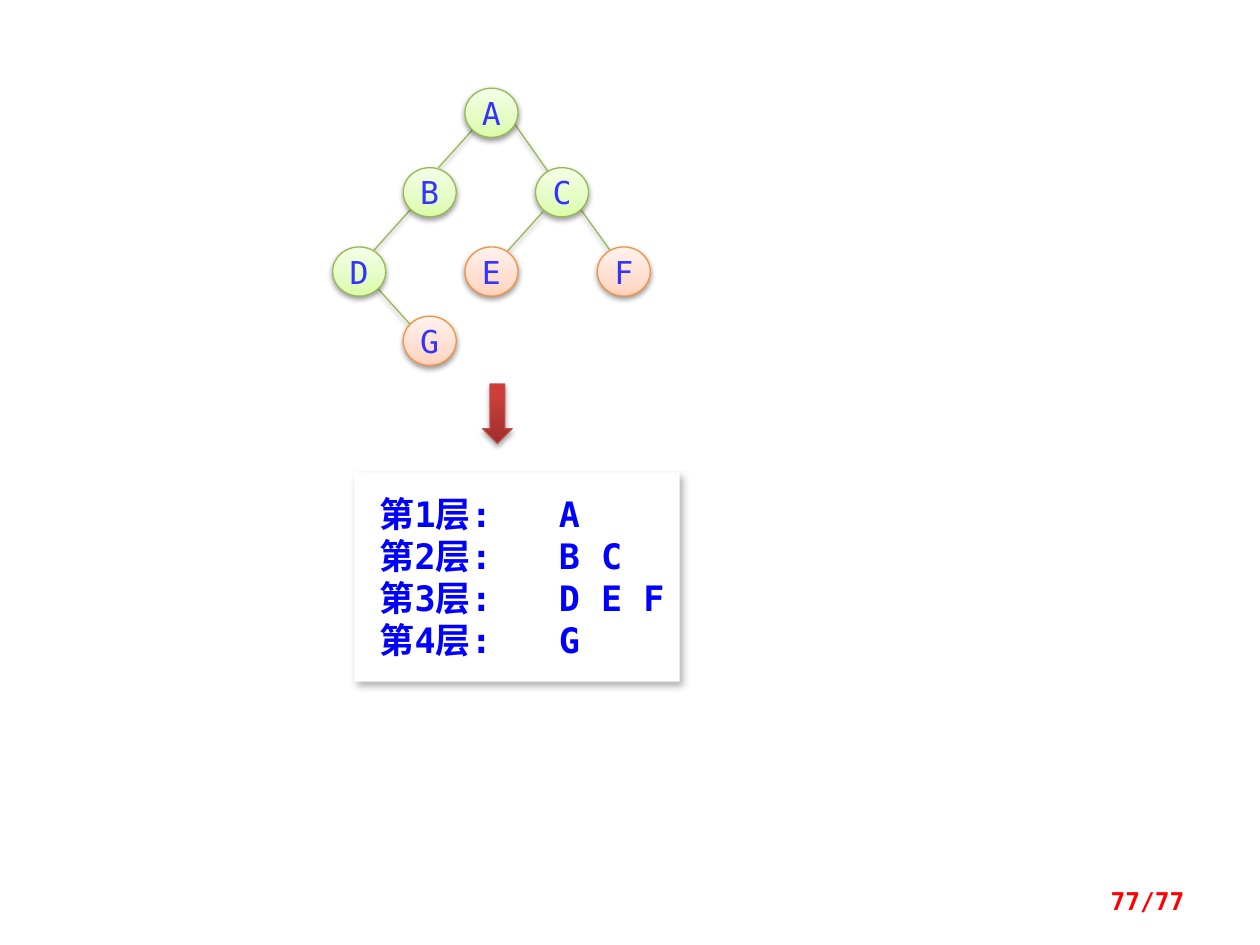
import pptx
import pptx.util
import pptx.dml.color
import pptx.enum.shapes
import pptx.enum.text
import pptx.oxml
import pptx.oxml.ns
from dataclasses import dataclass

Pt = pptx.util.Pt
SHAPES = pptx.enum.shapes.MSO_SHAPE
ANCHOR = pptx.enum.text.MSO_ANCHOR
ALIGN = pptx.enum.text.PP_ALIGN


@dataclass(frozen=True)
class Theme:
    font: str = "DejaVu Sans Mono"
    node_size: int = 18
    level_size: int = 20
    page_size: int = 14
    node_text: str = "3333FF"
    level_text: str = "0000FF"
    page_text: str = "FF0000"
    panel: str = "FFFFFF"
    branch_line: str = "98B955"
    leaf_line: str = "F69240"
    arrow_line: str = "BF4C48"
    line_width: float = 0.75
    branch_fill: tuple = ((0, "DAFDA7"), (35, "E4FCC2"), (100, "F5FFE7"))
    leaf_fill: tuple = ((0, "FFD2BD"), (35, "FFDED0"), (100, "FFF2ED"))
    arrow_fill: tuple = ((0, "9C2F2D"), (80, "CB3E3A"), (100, "CE3B37"))
    tree_shadow: tuple = (38, 3.1, 1.6, 90)
    arrow_shadow: tuple = (35, 3.1, 1.8, 90)
    panel_shadow: tuple = (30, 4.5, 2.6, 53)


THEME = Theme()
NODE_WIDTH, NODE_HEIGHT = 30.3, 28.1
COLUMNS = (190.1, 230.4, 265.7, 306, 341.3)
ROWS = (50.4, 95.8, 141.1, 180.7)
NODES = {"A": (2, 0), "B": (1, 1), "C": (3, 1), "D": (0, 2),
         "E": (2, 2), "G": (1, 3), "F": (4, 2)}
BRANCHES = {
    "DG": (215.3, 164.2, 235.4, 186.5),
    "AB": (270.7, 73.4, 250.6, 95.8),
    "AC": (293.4, 69.8, 314.6, 100.1),
    "BD": (235.4, 118.8, 210.2, 146.9),
    "CE": (310.3, 121, 290.2, 143.3),
    "CF": (331.2, 118.8, 351.4, 146.9),
}
LEVELS = ("A", "B C", "D E F", "G")
LEVEL_TAB = 102.5
PAGE_NUMBER = "77/77"


def rgb(value):
    return pptx.dml.color.RGBColor.from_string(value)


def element(tag, xml_attributes="", inner=""):
    return pptx.oxml.parse_xml(
        f'<a:{tag} {pptx.oxml.ns.nsdecls("a")} {xml_attributes}>{inner}</a:{tag}>')


def set_outline(part, colour):
    part.line.color.rgb = rgb(colour)
    part.line.width = Pt(THEME.line_width)


def add_shadow(part, shadow):
    alpha, blur, distance, angle = shadow
    part._element.spPr.append(element("effectLst", inner=(
        f'<a:outerShdw blurRad="{Pt(blur)}" dist="{Pt(distance)}" '
        f'dir="{angle * 60000}" rotWithShape="0"><a:srgbClr val="000000">'
        f'<a:alpha val="{alpha * 1000}"/></a:srgbClr></a:outerShdw>')))


def set_gradient(shape, stops):
    shape.fill.gradient()
    shape.fill.gradient_angle = 90
    stop_list = shape._element.spPr.find(".//" + pptx.oxml.ns.qn("a:gsLst"))
    for default_stop in list(stop_list):
        stop_list.remove(default_stop)
    for position, colour in stops:
        stop_list.append(element("gs", f'pos="{position * 1000}"',
                                 f'<a:srgbClr val="{colour}"/>'))


def style_text(paragraph, size, colour, align, bold=False):
    paragraph.alignment = align
    for run in paragraph.runs:
        run.font.name = THEME.font
        run.font.size = Pt(size)
        run.font.bold = bold
        run.font.color.rgb = rgb(colour)


def add_shape(slide, kind, *box):
    return slide.shapes.add_shape(kind, *map(Pt, box))


def add_tree(slide):
    for ends in BRANCHES.values():
        branch = slide.shapes.add_connector(
            pptx.enum.shapes.MSO_CONNECTOR.STRAIGHT, *map(Pt, ends))
        set_outline(branch, THEME.branch_line)
        add_shadow(branch, THEME.tree_shadow)
    parents = {pair[0] for pair in BRANCHES}
    for letter, (column, row) in NODES.items():
        node = add_shape(slide, SHAPES.OVAL, COLUMNS[column], ROWS[row],
                         NODE_WIDTH, NODE_HEIGHT)
        is_parent = letter in parents
        set_gradient(node, THEME.branch_fill if is_parent else THEME.leaf_fill)
        set_outline(node, THEME.branch_line if is_parent else THEME.leaf_line)
        add_shadow(node, THEME.tree_shadow)
        node.text_frame.text = letter
        node.text_frame.word_wrap = False
        node.text_frame.vertical_anchor = ANCHOR.MIDDLE
        style_text(node.text_frame.paragraphs[0], THEME.node_size,
                   THEME.node_text, ALIGN.CENTER)


def add_levels(slide):
    panel = add_shape(slide, SHAPES.RECTANGLE, 202.5, 270, 185.8, 119.5)
    panel.fill.solid()
    panel.fill.fore_color.rgb = rgb(THEME.panel)
    panel.line.fill.background()
    add_shadow(panel, THEME.panel_shadow)
    frame = panel.text_frame
    frame.margin_left, frame.margin_right = Pt(14.4), Pt(7.2)
    frame.margin_top = frame.margin_bottom = Pt(11.5)
    frame.word_wrap = True
    frame.auto_size = pptx.enum.text.MSO_AUTO_SIZE.SHAPE_TO_FIT_TEXT
    frame.vertical_anchor = ANCHOR.TOP
    frame.text = "\n".join(f"第{number}层:\t{letters}"
                           for number, letters in enumerate(LEVELS, 1))
    for level in frame.paragraphs:
        level._p.get_or_add_pPr().append(element(
            "tabLst", inner=f'<a:tab pos="{Pt(LEVEL_TAB)}" algn="l"/>'))
        style_text(level, THEME.level_size, THEME.level_text, ALIGN.LEFT, True)


def add_arrow(slide):
    arrow = add_shape(slide, SHAPES.DOWN_ARROW, 275.8, 219.4, 16.9, 34)
    set_gradient(arrow, THEME.arrow_fill)
    set_outline(arrow, THEME.arrow_line)
    add_shadow(arrow, THEME.arrow_shadow)


def add_page_number(slide):
    page = slide.shapes.add_textbox(*map(Pt, (516.2, 500.4, 167.8, 28.8)))
    page.text_frame.word_wrap = True
    page.text_frame.vertical_anchor = ANCHOR.MIDDLE
    page.text_frame.text = PAGE_NUMBER
    style_text(page.text_frame.paragraphs[0], THEME.page_size,
               THEME.page_text, ALIGN.RIGHT, True)


def main():
    deck = pptx.Presentation()
    deck.slide_width, deck.slide_height = Pt(720), Pt(540)
    slide = deck.slides.add_slide(deck.slide_layouts[6])
    add_tree(slide)
    add_levels(slide)
    add_arrow(slide)
    add_page_number(slide)
    deck.save("out.pptx")


if __name__ == "__main__":
    main()
